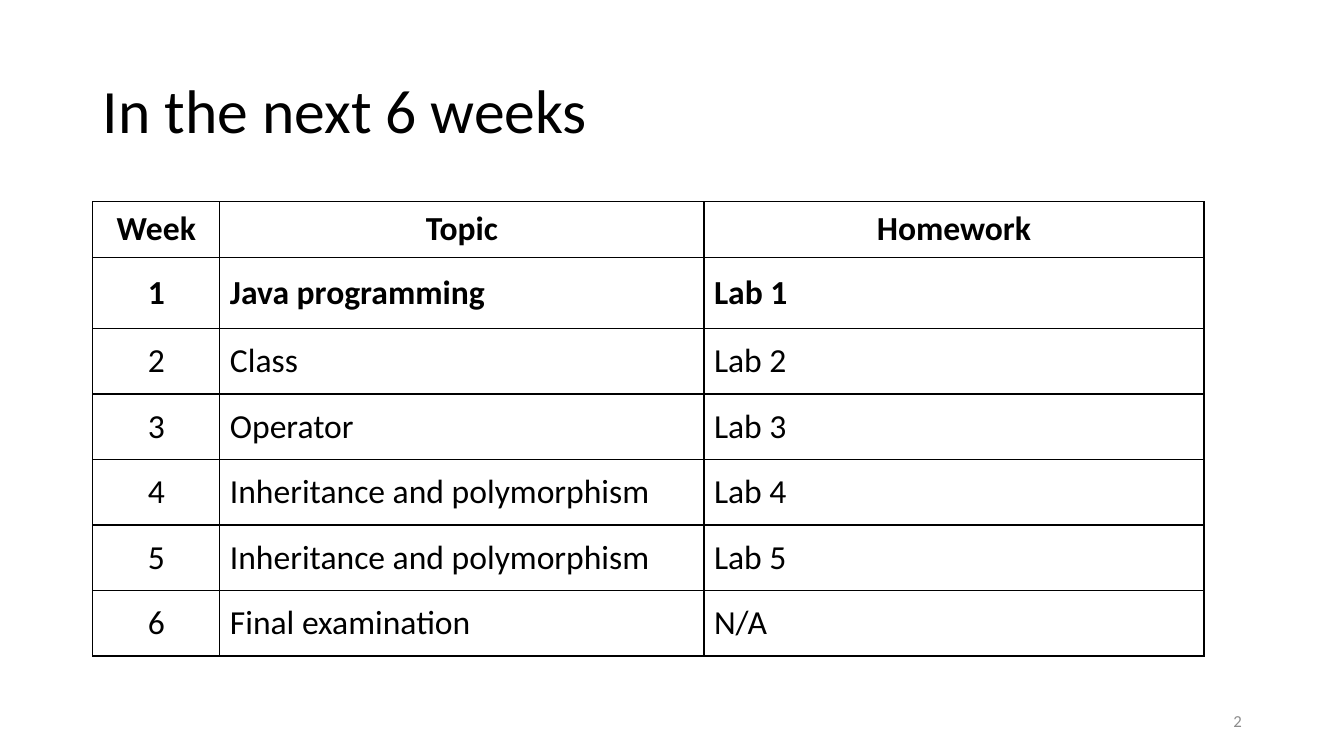
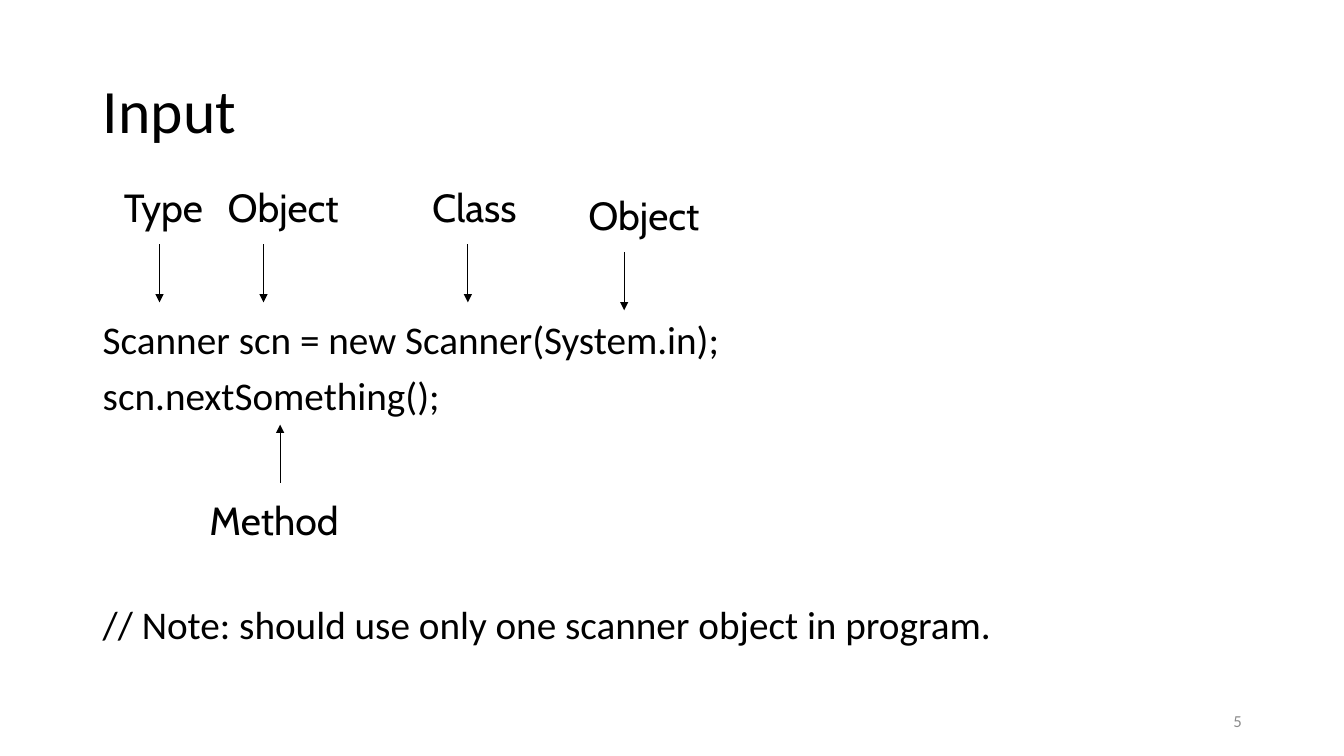
from lxml.etree import SubElement
from pptx import Presentation
from pptx.dml.color import RGBColor
from pptx.enum.shapes import MSO_CONNECTOR
from pptx.enum.text import MSO_ANCHOR, PP_ALIGN
from pptx.oxml import parse_xml
from pptx.oxml.ns import nsdecls, qn
from pptx.util import Cm, Pt

# Content
SCHEDULE_TITLE = "In the next 6 weeks"
SCHEDULE = [
    ("Week", "Topic", "Homework"),
    ("1", "Java programming", "Lab 1"),
    ("2", "Class", "Lab 2"),
    ("3", "Operator", "Lab 3"),
    ("4", "Inheritance and polymorphism", "Lab 4"),
    ("5", "Inheritance and polymorphism", "Lab 5"),
    ("6", "Final examination", "N/A"),
]
INPUT_TITLE = "Input"
CODE = ["Scanner scn = new Scanner(System.in);", "scn.nextSomething();"]
NOTE = ["// Note: should use only one scanner object in program."]
# Label, left, top, width, arrow offset from the left, arrow points down (cm)
LABELS = [
    ("Type", 2.87, 4.5, 3.15, 1.15, True),
    ("Class", 10.64, 4.5, 3.15, 1.15, True),
    ("Object", 5.49, 4.5, 3.68, 1.15, True),
    ("Method", 5.03, 12.37, 4.6, 2.03, False),
    ("Object", 14.58, 4.7, 3.68, 1.15, True),
]

# Shared style, lengths in cm
COLORS = {"text": "000000", "number": "8C8C8C"}
FONT, LABEL_FONT = "Calibri", "Cabin"
LEFT, WIDTH = 2.34, 29.21
COLUMNS = [3.2, 12.2, 12.6]
ROWS = [1.4, 1.8] + [1.65] * 5
BOLD_ROWS = 2
ARROW_LENGTH = 1.47


def add_span(para, text, size, font=FONT, color="text", bold=False):
    span = para.add_run()
    span.text = text
    span.font.name = font
    span.font.size = Pt(size)
    span.font.bold = bold
    span.font.color.rgb = RGBColor.from_string(COLORS[color])


def add_box(page, left, top, width, height):
    box = page.shapes.add_textbox(Cm(left), Cm(top), Cm(width), Cm(height))
    box.text_frame.word_wrap = True
    return box.text_frame


def add_page(deck, title, number):
    page = deck.slides.add_slide(deck.slide_layouts[5])
    heading = page.shapes.title
    heading.left, heading.top = Cm(LEFT), Cm(1.02)
    heading.width, heading.height = Cm(WIDTH), Cm(3.68)
    heading.text_frame.vertical_anchor = MSO_ANCHOR.MIDDLE
    para = heading.text_frame.paragraphs[0]
    para.alignment = PP_ALIGN.LEFT
    para.line_spacing = 0.9
    add_span(para, title, 44)

    frame = add_box(page, 23.93, 17.65, 7.62, 1.02)
    frame.vertical_anchor = MSO_ANCHOR.MIDDLE
    frame.paragraphs[0].alignment = PP_ALIGN.RIGHT
    add_span(frame.paragraphs[0], str(number), 12, color="number")
    return page


def add_borders(cell):
    properties = cell._tc.get_or_add_tcPr()
    for place, side in enumerate(("lnL", "lnR", "lnT", "lnB")):
        properties.insert(place, parse_xml(
            f'<a:{side} {nsdecls("a")} w="{Pt(1)}"><a:solidFill>'
            f'<a:srgbClr val="{COLORS["text"]}"/></a:solidFill></a:{side}>'))


def add_schedule(page):
    table = page.shapes.add_table(
        len(ROWS), len(COLUMNS), Cm(LEFT), Cm(5.08),
        Cm(sum(COLUMNS)), Cm(sum(ROWS))).table
    table.first_row = table.horz_banding = False
    for column, width in zip(table.columns, COLUMNS):
        column.width = Cm(width)
    for row, height in zip(table.rows, ROWS):
        row.height = Cm(height)
    for r, texts in enumerate(SCHEDULE):
        for c, text in enumerate(texts):
            cell = table.cell(r, c)
            cell.fill.background()
            cell.vertical_anchor = MSO_ANCHOR.MIDDLE
            add_borders(cell)
            para = cell.text_frame.paragraphs[0]
            centred = r == 0 or c == 0
            para.alignment = PP_ALIGN.CENTER if centred else PP_ALIGN.LEFT
            add_span(para, text, 24, bold=r < BOLD_ROWS)


def add_lines(page, top, height, lines):
    frame = add_box(page, LEFT, top, WIDTH, height)
    for index, text in enumerate(lines):
        para = frame.add_paragraph() if index else frame.paragraphs[0]
        para.line_spacing = 0.9
        if index:
            para.space_before = Pt(10)
        add_span(para, text, 28)


def add_arrow(page, x, start, end):
    arrow = page.shapes.add_connector(
        MSO_CONNECTOR.STRAIGHT, Cm(x), Cm(start), Cm(x), Cm(end))
    arrow.line.width = Pt(0.5)
    arrow.line.color.rgb = RGBColor.from_string(COLORS["text"])
    SubElement(arrow.line._get_or_add_ln(), qn("a:tailEnd"), type="triangle")
    SubElement(arrow._element.spPr, qn("a:effectLst"))


def add_label(page, text, left, top, width, offset, down):
    frame = add_box(page, left, top, width, 1.45)
    add_span(frame.paragraphs[0], text, 28, LABEL_FONT)
    start = top + 1.65 if down else top - 0.2
    end = start + ARROW_LENGTH if down else start - ARROW_LENGTH
    add_arrow(page, left + offset, start, end)


def main():
    deck = Presentation()
    deck.slide_width, deck.slide_height = Cm(33.87), Cm(19.05)

    # Course schedule
    add_schedule(add_page(deck, SCHEDULE_TITLE, 2))

    # Annotated code
    page = add_page(deck, INPUT_TITLE, 5)
    add_lines(page, 7.95, 2.8, CODE)
    add_lines(page, 15.14, 1.4, NOTE)
    for label in LABELS:
        add_label(page, *label)

    deck.save("out.pptx")


if __name__ == "__main__":
    main()
